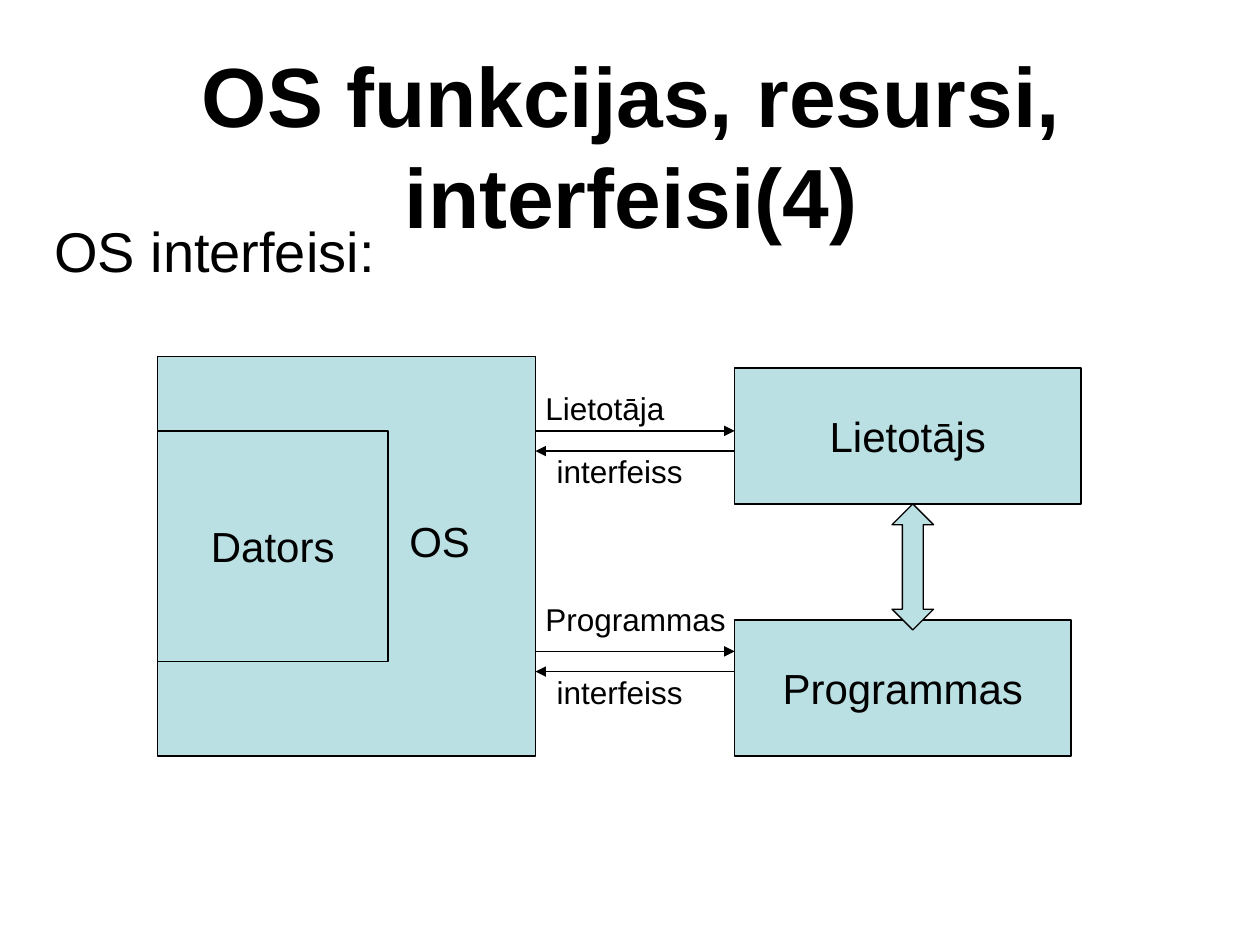
import pptx
import pptx.util
import pptx.dml.color
import pptx.enum.shapes
import pptx.enum.text
import pptx.oxml.ns
from dataclasses import dataclass
from lxml import etree
from pptx.util import Inches

Kind = pptx.enum.shapes.MSO_SHAPE
Align = pptx.enum.text.PP_ALIGN
Anchor = pptx.enum.text.MSO_ANCHOR
Fit = pptx.enum.text.MSO_AUTO_SIZE
qn = pptx.oxml.ns.qn


@dataclass(frozen=True)
class Theme:
    font: str = "Arial"
    ink: str = "000000"
    fill: str = "BBE0E3"
    title: int = 48
    body: int = 32
    node: int = 24
    label: int = 18
    line: float = 0.75


theme = Theme()


def tint(code):
    return pptx.dml.color.RGBColor.from_string(code)


def place(item, box):
    item.left, item.top, item.width, item.height = map(Inches, box)


def write(frame, text, size=theme.node, bold=False, align=Align.LEFT,
          anchor=Anchor.TOP, wrap=False, fit=Fit.NONE, hang=0):
    frame.word_wrap = wrap
    frame.auto_size = fit
    frame.vertical_anchor = anchor
    para = frame.paragraphs[0]
    para.text = text
    para.alignment = align
    para.space_before = pptx.util.Pt(0)
    if hang:
        prop = para._p.get_or_add_pPr()
        prop.set("marL", str(Inches(hang)))
        prop.set("indent", str(-Inches(hang)))
        etree.SubElement(prop, qn("a:buNone"))
    font = para.font
    font.name = theme.font
    font.size = pptx.util.Pt(size)
    font.bold = bold
    font.color.rgb = tint(theme.ink)


def block(slide, box, text="", kind=Kind.RECTANGLE):
    shape = slide.shapes.add_shape(kind, *map(Inches, box))
    shape.shadow.inherit = False
    shape.fill.solid()
    shape.fill.fore_color.rgb = tint(theme.fill)
    shape.line.color.rgb = tint(theme.ink)
    shape.line.width = pptx.util.Pt(theme.line)
    if text:
        write(shape.text_frame, text, align=Align.CENTER, anchor=Anchor.MIDDLE)
    return shape


def label(slide, box, text, size=theme.label):
    item = slide.shapes.add_textbox(*map(Inches, box))
    write(item.text_frame, text, size=size, fit=Fit.SHAPE_TO_FIT_TEXT)


def arrow(slide, start, end, top):
    line = slide.shapes.add_connector(
        pptx.enum.shapes.MSO_CONNECTOR.STRAIGHT,
        Inches(start), Inches(top), Inches(end), Inches(top))
    line.line.color.rgb = tint(theme.ink)
    line.line.width = pptx.util.Pt(theme.line)
    tail = etree.SubElement(line.line._get_or_add_ln(), qn("a:tailEnd"))
    tail.set("type", "triangle")
    etree.SubElement(line._element.spPr, qn("a:effectLst"))


def link(slide, box, name, width, lift):
    left, top, wide, high = box
    arrow(slide, left, left + wide, top)
    arrow(slide, left + wide, left, top + high)
    label(slide, (left - 0.02, top - lift, width, 0.4), name)
    label(slide, (left + 0.07, top + 0.12, 1.2, 0.4), "interfeiss")


def heads(slide, box):
    left, top, wide, high = box
    title, body = slide.placeholders
    place(title, (left + 0.18, top, wide, 1.25))
    write(title.text_frame, "OS funkcijas, resursi, interfeisi(4)",
          size=theme.title, bold=True, align=Align.CENTER,
          anchor=Anchor.MIDDLE, wrap=True)
    place(body, (left, top + 1.15, wide, high - 1.15))
    write(body.text_frame, "OS interfeisi:", size=theme.body,
          wrap=True, hang=0.38)


def chart(slide, box):
    left, top, wide, high = box
    core, gap = 3, 1.58
    side = left + core + gap
    block(slide, (left, top, core, high))
    block(slide, (side, top + 0.09, wide - core - gap, 1.08), "Lietotājs")
    block(slide, (side, top + 2.09, 2.67, 1.08), "Programmas")
    block(slide, (left, top + 0.59, 1.83, 1.83), "Dators")
    for name, drop, width, lift in (("Lietotāja", 0.59, 1.18, 0.38),
                                    ("Programmas", 2.34, 1.65, 0.46)):
        link(slide, (left + core, top + drop, gap, 0.16), name, width, lift)
    both = block(slide, (side + 1.25, top + 1.17, 0.33, 1),
                 kind=Kind.UP_DOWN_ARROW)
    both.adjustments[0] = 0.6
    both.adjustments[1] = 0.5
    label(slide, (left + 1.9, top + 1.21, 0.68, 0.5), "OS", size=theme.node)


def main():
    deck = pptx.Presentation()
    deck.slide_width, deck.slide_height = Inches(10), Inches(7.5)
    slide = deck.slides.add_slide(deck.slide_layouts[1])
    heads(slide, (0.33, 0.52, 9, 6.1))
    chart(slide, (1.25, 2.83, 7.33, 3.17))
    deck.save("out.pptx")


if __name__ == "__main__":
    main()
